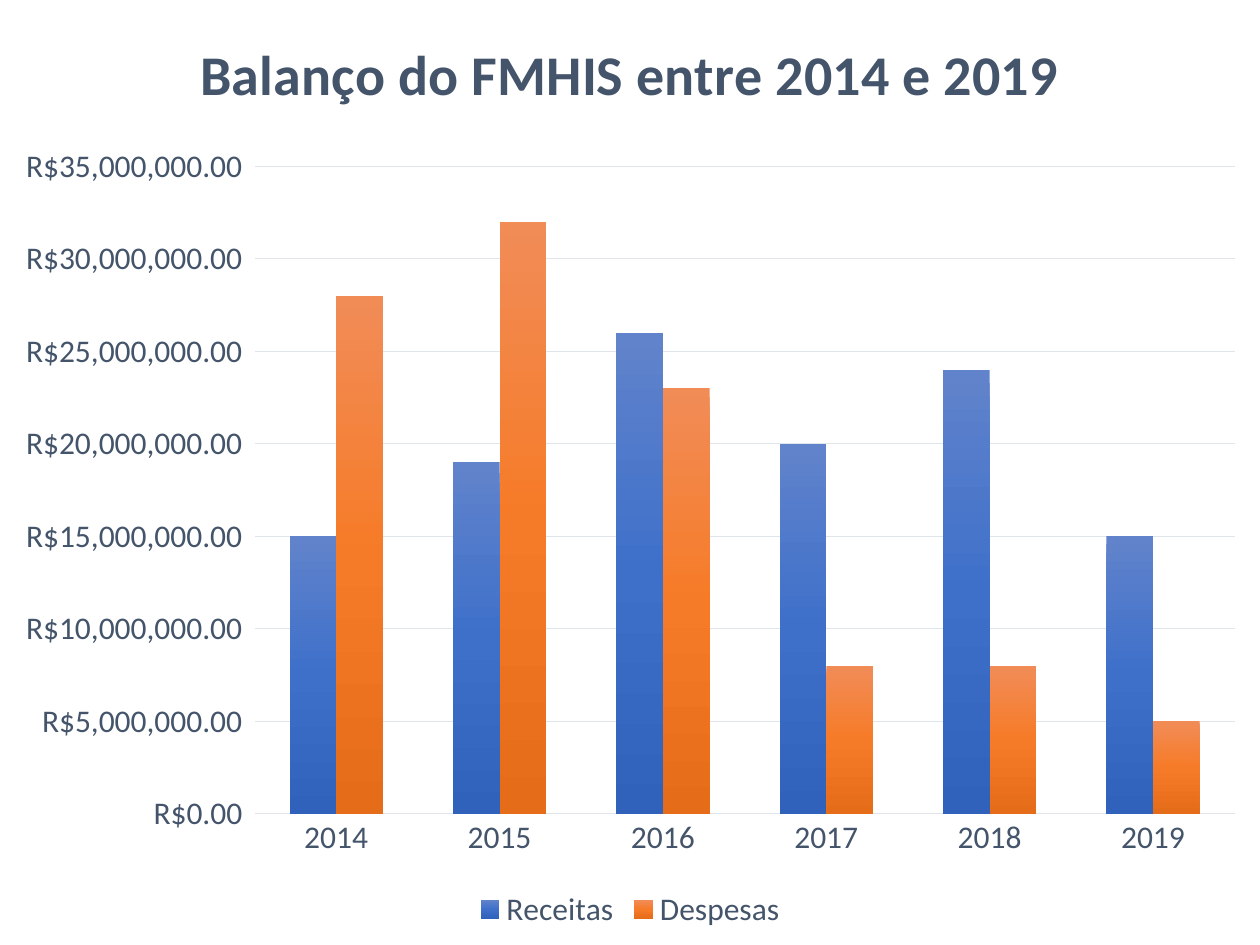
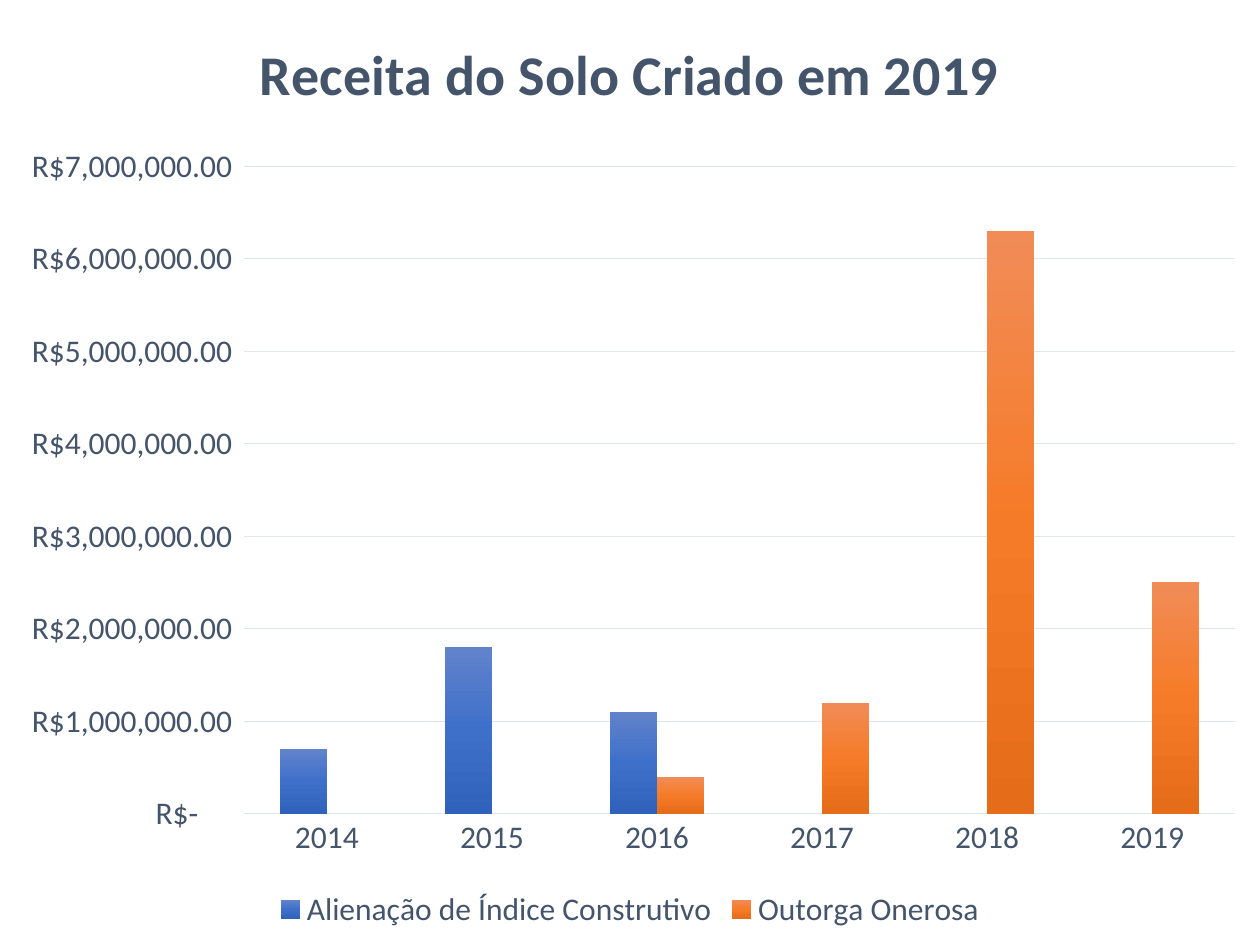
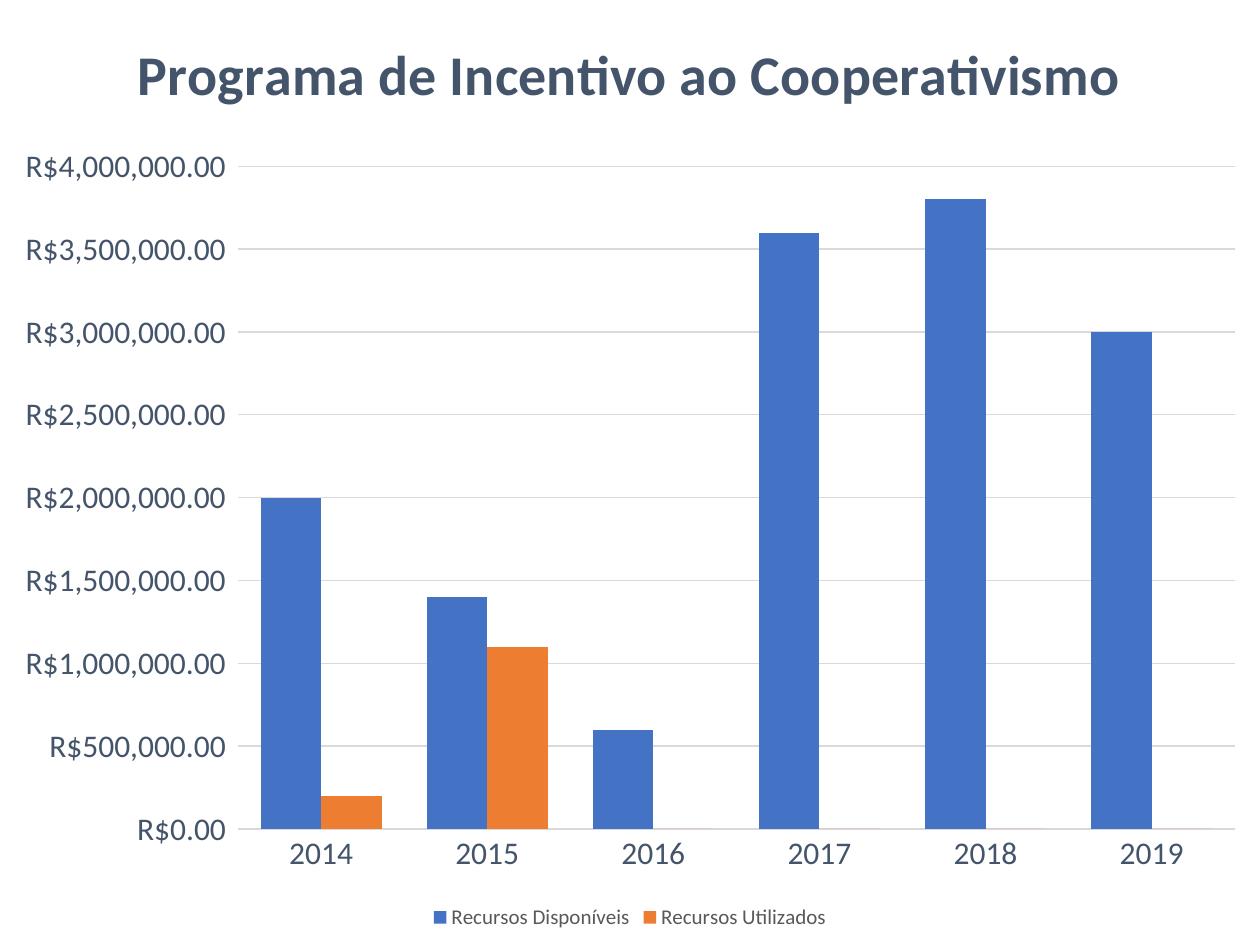
from dataclasses import dataclass
from typing import Optional

from lxml import etree
from pptx import Presentation
from pptx.chart.data import CategoryChartData
from pptx.dml.color import RGBColor
from pptx.enum.chart import XL_CHART_TYPE as CT, XL_LEGEND_POSITION as LP, XL_TICK_MARK as TM
from pptx.oxml import parse_xml
from pptx.oxml.ns import nsdecls, qn
from pptx.util import Inches, Pt

# Shared look
FONT = "Calibri"
SLATE = RGBColor(0x44, 0x54, 0x6A)
GRAY = RGBColor(0x59, 0x59, 0x59)
PALE = RGBColor(0xE0, 0xE5, 0xEB)
SILVER = RGBColor(0xD9, 0xD9, 0xD9)
BLUE = RGBColor(0x44, 0x72, 0xC4)
ORANGE = RGBColor(0xED, 0x7D, 0x31)
BLUE_FADE = tuple(map(RGBColor.from_string, ("6183CB", "3E70CA", "3062BB")))
ORANGE_FADE = tuple(map(RGBColor.from_string, ("F18C57", "F67B28", "E56C19")))

YEARS = [str(y) for y in range(2014, 2020)]
MILLION = 1_000_000
CURRENCY = '"R$"#,##0.00_);[Red]\\("R$"#,##0.00\\)'
ACCOUNTING = '_("R$"* #,##0.00_);_("R$"* \\(#,##0.00\\);_("R$"* "-"??_);_(@_)'

# Shared places
CHART_W, CHART_H = Inches(10), Inches(7.42)
TITLE_TOP = Inches(0.2)
PLOT_TOP, PLOT_RIGHT = Inches(1.32), Inches(9.8)


@dataclass
class Series:
    name: str
    millions: list[float]


@dataclass
class BudgetChart:
    title: str
    title_left: int
    series: list[Series]
    top: float  # axis maximum and step, in millions
    step: float
    plot_left: int
    plot_bottom: int = Inches(6.46)
    number_format: str = CURRENCY
    fills: tuple = (BLUE_FADE, ORANGE_FADE)
    gap: int = 150
    grid: RGBColor = PALE
    axis_line: Optional[RGBColor] = PALE
    legend_size: int = 18
    legend_color: RGBColor = SLATE


CHARTS = [
    BudgetChart(
        "Balanço do FMHIS entre 2014 e 2019", Inches(1.51),
        [Series("Receitas", [15, 19, 26, 20, 24, 15]),
         Series("Despesas", [28, 32, 23, 8, 8, 5])],
        top=35, step=5, plot_left=Inches(2.02)),
    BudgetChart(
        "Receita do Solo Criado em 2019", Inches(1.98),
        [Series("Alienação de Índice Construtivo", [0.7, 1.8, 1.1, 0, 0, 0]),
         Series("Outorga Onerosa", [0, 0, 0.4, 1.2, 6.3, 2.5])],
        top=7, step=1, plot_left=Inches(1.94), number_format=ACCOUNTING),
    BudgetChart(
        "Programa de Incentivo ao Cooperativismo", Inches(1.01),
        [Series("Recursos Disponíveis", [2, 1.4, 0.6, 3.6, 3.8, 3]),
         Series("Recursos Utilizados", [0.2, 1.1, 0, 0, 0, 0])],
        top=4, step=0.5, plot_left=Inches(1.89), plot_bottom=Inches(6.58),
        fills=(BLUE, ORANGE), gap=75, grid=SILVER, axis_line=None,
        legend_size=12, legend_color=GRAY),
]


def set_font(font, size: int, color: RGBColor, bold: bool = False) -> None:
    for key, value in {"name": FONT, "size": Pt(size), "bold": bold}.items():
        setattr(font, key, value)
    font.color.rgb = color


def set_line(line, color: Optional[RGBColor]) -> None:
    if color is None:
        line.fill.background()
    else:
        line.color.rgb = color
        line.width = Pt(0.75)


def set_layout(element, after: Optional[str], **values) -> None:
    """Place a chart part; lengths become fractions of the chart's size."""
    for old in element.findall(qn("c:layout")):
        element.remove(old)
    layout = etree.Element(qn("c:layout"))
    manual = etree.SubElement(layout, qn("c:manualLayout"))
    scale = {"x": CHART_W, "y": CHART_H, "w": CHART_W, "h": CHART_H}
    for tag, value in values.items():
        shown = f"{value / scale[tag]:.4f}" if tag in scale else value
        etree.SubElement(manual, qn(f"c:{tag}")).set("val", shown)
    if after:
        element.find(qn(after)).addnext(layout)
    else:
        element.insert(0, layout)


def fill_bars(series, colors) -> None:
    if isinstance(colors, RGBColor):
        series.format.fill.solid()
        series.format.fill.fore_color.rgb = colors
        return
    stops = "".join(f'<a:gs pos="{i * 50000}"><a:srgbClr val="{c}"/></a:gs>'
                    for i, c in enumerate(colors))
    gradient = parse_xml(f'<a:gradFill {nsdecls("a")} rotWithShape="1"><a:gsLst>{stops}'
                         '</a:gsLst><a:lin ang="5400000" scaled="0"/></a:gradFill>')
    series.format.fill.background()
    no_fill = next(series._element.iter(qn("a:noFill")))
    no_fill.getparent().replace(no_fill, gradient)


def draw_chart(s, budget: BudgetChart) -> None:
    data = CategoryChartData(number_format=budget.number_format)
    data.categories = YEARS
    for item in budget.series:
        data.add_series(item.name, [round(v * MILLION) for v in item.millions])
    chart = s.shapes.add_chart(CT.COLUMN_CLUSTERED, Inches(0), Inches(0),
                               CHART_W, CHART_H, data).chart
    chart.font.name, chart.font.size = FONT, Pt(10)

    # Title
    chart.has_title = True
    title = chart.chart_title
    r = title.text_frame.paragraphs[0].add_run()
    r.text = budget.title
    set_font(r.font, 32, SLATE, bold=True)
    title.include_in_layout = False
    set_layout(title._element, "c:tx", xMode="edge", yMode="edge",
               x=budget.title_left, y=TITLE_TOP)

    # Bars
    plot = chart.plots[0]
    for key, value in {"gap_width": budget.gap, "overlap": 0,
                       "vary_by_categories": False}.items():
        setattr(plot, key, value)
    for series, colors in zip(plot.series, budget.fills):
        series.invert_if_negative = False
        fill_bars(series, colors)
    set_layout(chart._chartSpace.chart.plotArea, None, layoutTarget="inner",
               xMode="edge", yMode="edge", x=budget.plot_left, y=PLOT_TOP,
               w=PLOT_RIGHT - budget.plot_left, h=budget.plot_bottom - PLOT_TOP)

    # Axes
    years, amounts = chart.category_axis, chart.value_axis
    for axis, line in ((years, budget.axis_line), (amounts, None)):
        axis.major_tick_mark = axis.minor_tick_mark = TM.NONE
        set_font(axis.tick_labels.font, 18, SLATE)
        set_line(axis.format.line, line)
    for key, value in {"minimum_scale": 0, "maximum_scale": budget.top * MILLION,
                       "major_unit": budget.step * MILLION,
                       "has_major_gridlines": True}.items():
        setattr(amounts, key, value)
    set_line(amounts.major_gridlines.format.line, budget.grid)
    amounts.tick_labels.number_format = budget.number_format
    amounts.tick_labels.number_format_is_linked = False

    # Legend
    chart.has_legend = True
    chart.legend.position = LP.BOTTOM
    chart.legend.include_in_layout = False
    set_font(chart.legend.font, budget.legend_size, budget.legend_color)


prs = Presentation()
prs.slide_width, prs.slide_height = Inches(10), Inches(7.5)
for budget_chart in CHARTS:
    draw_chart(prs.slides.add_slide(prs.slide_layouts[6]), budget_chart)
prs.save("out.pptx")
